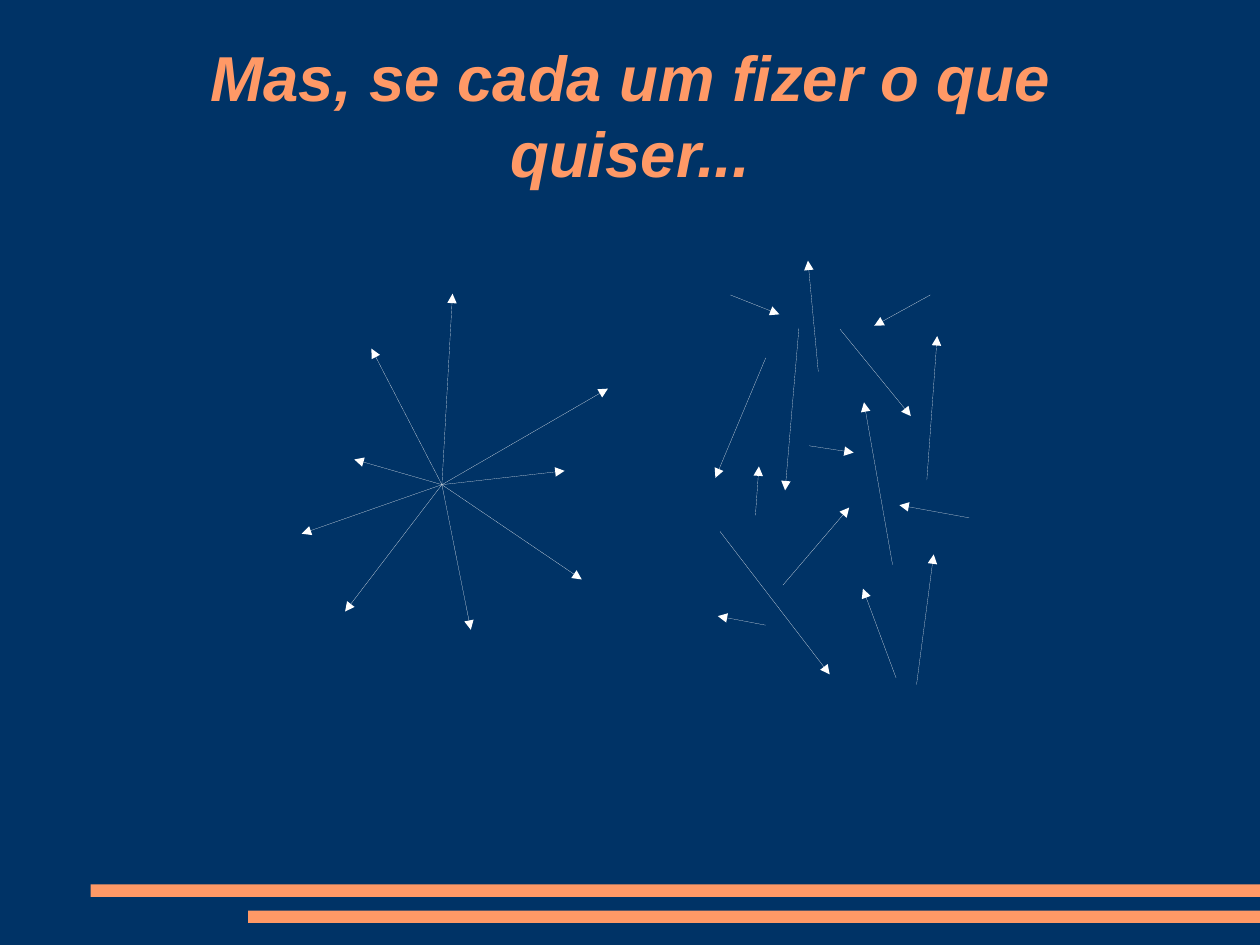
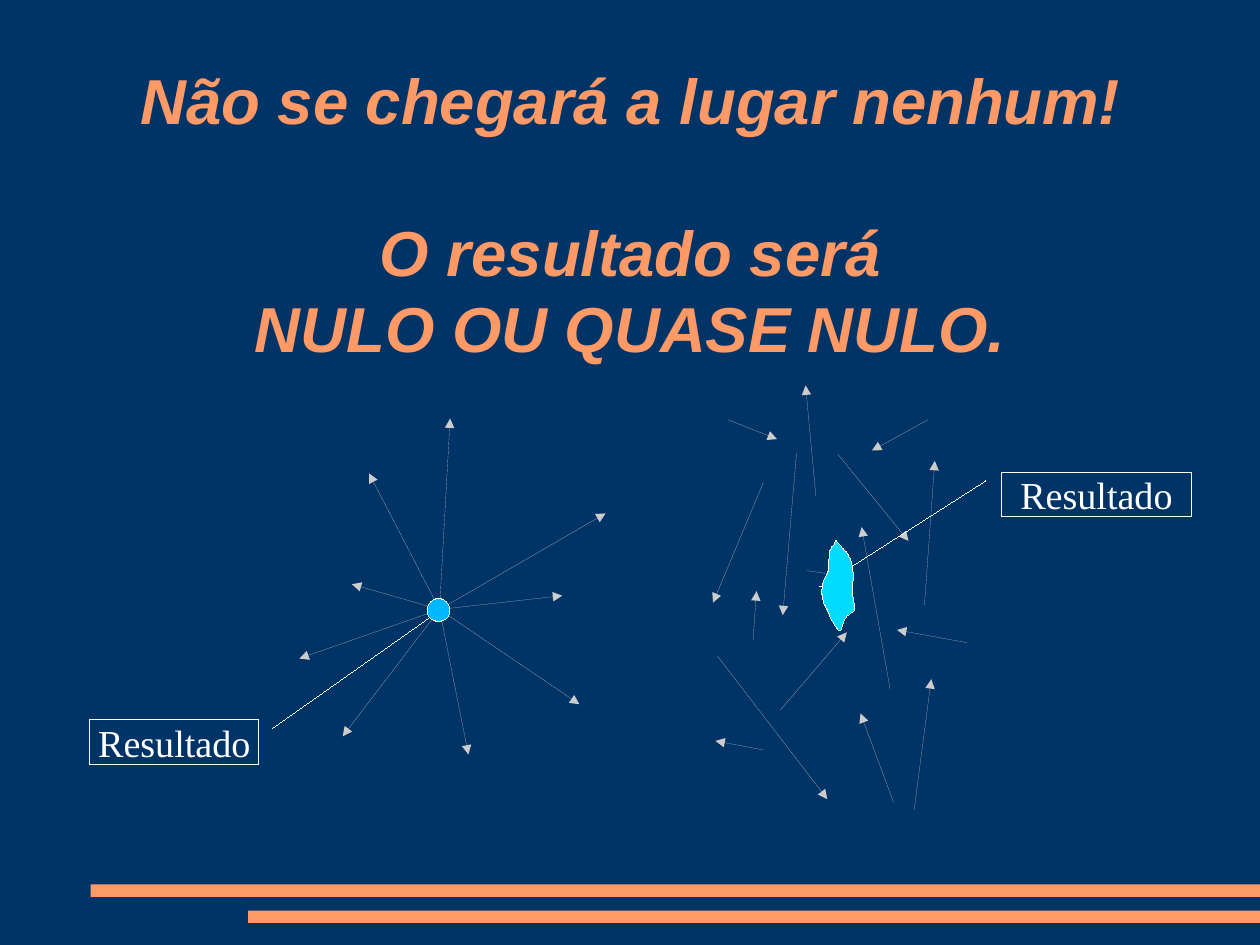
import pptx
import pptx.dml.color
import pptx.enum.shapes
import pptx.enum.text
import pptx.oxml
import pptx.oxml.ns
import pptx.util

Pt = pptx.util.Pt
SHAPES = pptx.enum.shapes.MSO_SHAPE
COLOURS = {"navy": "003366", "orange": "FF9966", "white": "FFFFFF",
           "grey": "CCCCCC", "blue": "00B8FF", "cyan": "00DCFF"}
PAGE_WIDTH, PAGE_HEIGHT = 793.75, 595.25
LINE_PITCH = 47.9

# Arrows leaving one point: tips only
CENTRE = (278.4, 305.3)
RAY_TIPS = [(383, 244.8), (234, 219.6), (217.4, 385.2), (355.7, 296.6), (366.5, 365),
            (296.6, 396.7), (190.1, 336.2), (223.2, 289.4), (285.1, 185)]

# Scattered arrows: from x, y to x, y
SCATTERED = [
    (503.3, 206.6, 494.6, 308.9), (562.3, 355.7, 544.3, 253.4),
    (493.2, 368.6, 535, 319.7), (529.2, 207.4, 573.8, 262.1),
    (482.4, 225.4, 450.7, 301), (453.6, 334.8, 522.7, 424.8),
    (577.4, 431.3, 588.2, 349.2), (564.5, 427, 543.6, 370.8),
    (583.9, 302.4, 590.4, 211.7), (475.9, 324.7, 478.1, 293.8),
    (515.5, 234, 509, 164.2), (460.1, 185.8, 491, 198),
    (586.1, 185.8, 550.8, 205.2), (509.8, 280.8, 537.8, 285.1),
    (610.6, 326.2, 566.6, 318.2), (482.4, 393.8, 452.2, 388.1)]
ARROWS = [CENTRE + tip for tip in RAY_TIPS] + SCATTERED

# Title lines come with the space above each
PAGES = [
    {"title": [("Mas, se cada um fizer o que quiser...", 0)],
     "top": 22.3, "height": 99.4, "arrow": "white", "shift": (0, 0)},
    {"title": [("Não se chegará a lugar nenhum!", 0), ("O resultado será", LINE_PITCH),
               ("NULO OU QUASE NULO.", 0)],
     "top": 38.2, "height": 192, "arrow": "grey", "shift": (-1.5, 78.6)},
]


def paint(shape, fill=None, line=None):
    shape.shadow.inherit = False
    if fill:
        shape.fill.solid()
        shape.fill.fore_color.rgb = pptx.dml.color.RGBColor.from_string(COLOURS[fill])
    else:
        shape.fill.background()
    if line:
        shape.line.color.rgb = pptx.dml.color.RGBColor.from_string(COLOURS[line])
        shape.line._get_or_add_ln().set("w", "0")
    else:
        shape.line.fill.background()


def write(para, text, font, size, colour, slanted_bold=False):
    para.alignment = pptx.enum.text.PP_ALIGN.CENTER
    span = para.add_run()
    span.text = text
    span.font.name = font
    span.font.size = Pt(size)
    span.font.bold = span.font.italic = slanted_bold
    span.font.color.rgb = pptx.dml.color.RGBColor.from_string(COLOURS[colour])


deck = pptx.Presentation()
deck.slide_width, deck.slide_height = Pt(PAGE_WIDTH), Pt(PAGE_HEIGHT)
background = deck.slide_master.background.fill
background.solid()
background.fore_color.rgb = pptx.dml.color.RGBColor.from_string(COLOURS["navy"])

for content in PAGES:
    page = deck.slides.add_slide(deck.slide_layouts[6])

    # Bottom bands run to the right edge
    for left, top in [(57.1, 557.1), (156.4, 573.6)]:
        band = page.shapes.add_shape(SHAPES.RECTANGLE, Pt(left), Pt(top),
                                     Pt(PAGE_WIDTH - left), Pt(7.8))
        paint(band, "orange")

    # Title
    box = page.shapes.add_textbox(Pt(58.3), Pt(content["top"]), Pt(677.5), Pt(content["height"]))
    frame = box.text_frame
    frame.word_wrap = True
    frame.vertical_anchor = pptx.enum.text.MSO_ANCHOR.MIDDLE
    frame.margin_left = frame.margin_right = frame.margin_top = frame.margin_bottom = 0
    for index, (text, gap) in enumerate(content["title"]):
        para = frame.add_paragraph() if index else frame.paragraphs[0]
        para.line_spacing = Pt(LINE_PITCH)
        para.space_before = Pt(gap)
        write(para, text, "Arial", 40, "orange", slanted_bold=True)

    # Arrows: an explicit zero width gives the thinnest line
    shift_x, shift_y = content["shift"]
    for start_x, start_y, end_x, end_y in ARROWS:
        arrow = page.shapes.add_connector(
            pptx.enum.shapes.MSO_CONNECTOR.STRAIGHT,
            Pt(start_x + shift_x), Pt(start_y + shift_y), Pt(end_x + shift_x), Pt(end_y + shift_y))
        arrow.line.color.rgb = pptx.dml.color.RGBColor.from_string(COLOURS[content["arrow"]])
        outline = arrow.line._get_or_add_ln()
        outline.set("w", "0")
        outline.append(pptx.oxml.parse_xml(
            "<a:tailEnd %s type='triangle'/>" % pptx.oxml.ns.nsdecls("a")))
        properties = arrow._element.spPr
        properties.append(pptx.oxml.parse_xml("<a:effectLst %s/>" % pptx.oxml.ns.nsdecls("a")))

# Result callouts on the last page: frame, then pointer as y, x, y, x shares
CALLOUTS = [((56.5, 453.4, 106.6, 28.1), (0.19, 1.08, -2.54, 2.1)),
            ((630.7, 297.4, 120.2, 28.1), (0.19, -0.08, 2.57, -0.95))]
for place, pointer in CALLOUTS:
    callout = page.shapes.add_shape(SHAPES.LINE_CALLOUT_1, *[Pt(value) for value in place])
    paint(callout, line="white")
    for index, share in enumerate(pointer):
        callout.adjustments[index] = share
    frame = callout.text_frame
    frame.word_wrap = False
    frame.vertical_anchor = pptx.enum.text.MSO_ANCHOR.MIDDLE
    frame.margin_left = frame.margin_right = frame.margin_top = frame.margin_bottom = 0
    write(frame.paragraphs[0], "Resultado", "Times New Roman", 24, "white")

# Result of the rays: a dot
dot = page.shapes.add_shape(SHAPES.OVAL, Pt(269.1), Pt(377), Pt(14.4), Pt(14.4))
paint(dot, "blue", "white")

# Result of the scattered arrows: a blob of cubic curves, each cut into short steps
CURVES = [((519.8, 347), (524.2, 357.1), (520.6, 362.2)),
          ((517, 367.2), (517, 375.8), (519.8, 381.6)),
          ((522.7, 387.4), (529.2, 403.2), (530.6, 394.6)),
          ((533.5, 381.6), (540.7, 390.2), (537.8, 378)),
          ((535.7, 370.1), (538.6, 365), (537.1, 357.8)),
          ((536.4, 348.5), (530.6, 345.6), (527, 340.6))]
STEPS = 8
first = last = (525.6, 342.7)
corners = []
for near, far, end in CURVES:
    for step in range(1, STEPS + 1):
        t = step / STEPS
        corners.append(tuple(
            Pt((1 - t) ** 3 * a + 3 * (1 - t) ** 2 * t * b + 3 * (1 - t) * t ** 2 * c + t ** 3 * d)
            for a, b, c, d in zip(last, near, far, end)))
    last = end
corners.append((Pt(526.3), Pt(340.6)))
builder = page.shapes.build_freeform(Pt(first[0]), Pt(first[1]))
builder.add_line_segments(corners, close=True)
blob = builder.convert_to_shape()
paint(blob, "cyan", "white")

deck.save("out.pptx")
